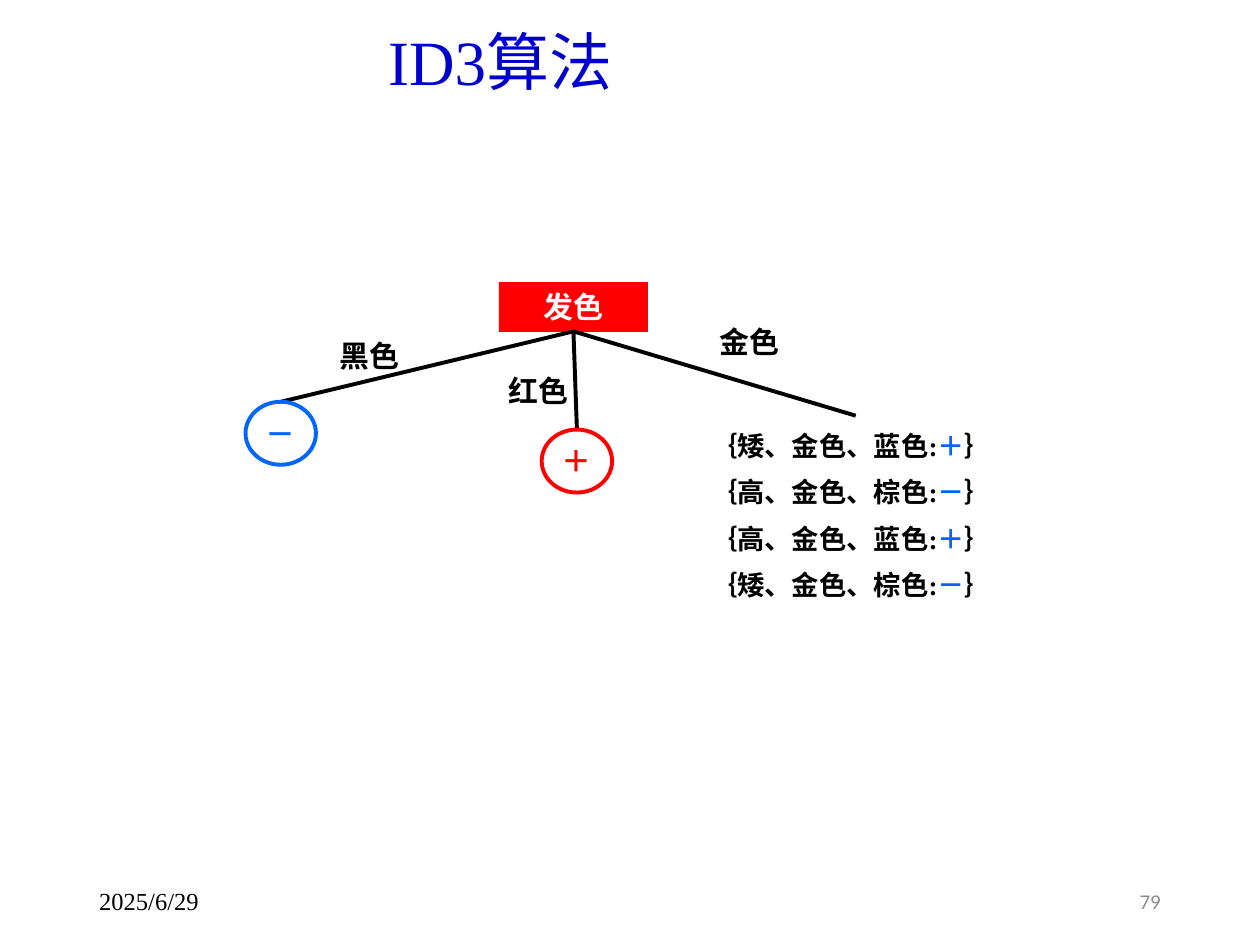
from lxml import etree
from pptx import Presentation
from pptx.dml.color import RGBColor
from pptx.enum.shapes import MSO_CONNECTOR, MSO_SHAPE
from pptx.enum.text import MSO_ANCHOR, MSO_AUTO_SIZE, PP_ALIGN
from pptx.oxml.ns import qn
from pptx.util import Cm, Pt

LEFT, CENTER, RIGHT = PP_ALIGN.LEFT, PP_ALIGN.CENTER, PP_ALIGN.RIGHT
MIDDLE = MSO_ANCHOR.MIDDLE
FIT_SHAPE, NO_FIT = MSO_AUTO_SIZE.SHAPE_TO_FIT_TEXT, MSO_AUTO_SIZE.NONE
STRAIGHT = MSO_CONNECTOR.STRAIGHT
RECTANGLE, OVAL = MSO_SHAPE.RECTANGLE, MSO_SHAPE.OVAL

SERIF = "Times New Roman"
BLACK, WHITE, RED, BLUE = "000000", "FFFFFF", "FF0000", "0066FF"
TITLE_BLUE, GRAY = "0000CC", "8C8C8C"
PLUS, MINUS = "＋", "－"

NODE_SIZE = 17.1
SAMPLE_SIZE = 15.6
LABEL_W, LABEL_H = 3, 1
LEAF_W, LEAF_H = 1.42, 1.27
ROOT_LEFT, ROOT_TOP = 10.06, 5.69
ROOT_BOTTOM = (ROOT_LEFT + LABEL_W / 2, 6.68)


def rgb(color):
    return RGBColor.from_string(color)


def format_paragraph(paragraph, size, color=None, align=CENTER, font=SERIF, bold=False):
    paragraph.alignment = align
    paragraph.font.size = Pt(size)
    paragraph.font.name = font
    paragraph.font.bold = bold
    if color:
        paragraph.font.color.rgb = rgb(color)


def add_title(slide, text):
    title = slide.shapes.title
    title.left, title.top, title.width, title.height = Cm(7.57), Cm(0.23), Cm(17.65), Cm(2.16)
    frame = title.text_frame
    frame.text = text
    frame.vertical_anchor = MIDDLE
    frame.auto_size = NO_FIT
    frame.paragraphs[0].line_spacing = 0.9
    format_paragraph(frame.paragraphs[0], 36, TITLE_BLUE, LEFT)


def add_text_frame(slide, left, top, width, height):
    frame = slide.shapes.add_textbox(Cm(left), Cm(top), Cm(width), Cm(height)).text_frame
    frame.word_wrap = True
    return frame


def add_footer(slide, left, text, size, color, align, font):
    frame = add_text_frame(slide, left, 17.65, 5.72, 1.02)
    frame.text = text
    frame.vertical_anchor = MIDDLE
    format_paragraph(frame.paragraphs[0], size, color, align, font)


def add_branch_label(slide, left, top, text):
    frame = add_text_frame(slide, left, top, LABEL_W, LABEL_H)
    frame.text = text
    frame.auto_size = FIT_SHAPE
    format_paragraph(frame.paragraphs[0], NODE_SIZE, BLACK, bold=True)


def add_branch(slide, end):
    """Draw a line from the bottom of the root node to end."""
    points = [Cm(value) for value in (*ROOT_BOTTOM, *end)]
    branch = slide.shapes.add_connector(STRAIGHT, *points)
    branch.line.color.rgb = rgb(BLACK)
    branch.line.width = Pt(2.25)
    etree.SubElement(branch._element.spPr, qn("a:effectLst"))


def add_node(slide, preset, left, top, width, height, text, color):
    node = slide.shapes.add_shape(preset, Cm(left), Cm(top), Cm(width), Cm(height))
    node.shadow.inherit = False
    node.text_frame.text = text
    format_paragraph(node.text_frame.paragraphs[0], NODE_SIZE, color, bold=True)
    return node


def add_root(slide, text):
    root = add_node(slide, RECTANGLE, ROOT_LEFT, ROOT_TOP, LABEL_W, LABEL_H, text, WHITE)
    root.fill.solid()
    root.fill.fore_color.rgb = rgb(RED)
    root.line.fill.background()
    root.text_frame.vertical_anchor = MSO_ANCHOR.TOP
    root.text_frame.auto_size = FIT_SHAPE


def add_leaf(slide, top_center, sign, color):
    x, y = top_center
    leaf = add_node(slide, OVAL, x - LEAF_W / 2, y, LEAF_W, LEAF_H, sign, color)
    leaf.fill.background()
    leaf.line.color.rgb = rgb(color)
    leaf.line.width = Pt(2.25)
    leaf.text_frame.vertical_anchor = MIDDLE
    leaf.text_frame.word_wrap = False


def add_samples(slide, samples):
    """List the unsorted samples, each with its class sign in blue."""
    frame = add_text_frame(slide, 13.92, 8.53, 6.48, 3.94)
    frame.auto_size = FIT_SHAPE
    for index, (features, sign) in enumerate(samples):
        paragraph = frame.add_paragraph() if index else frame.paragraphs[0]
        if index:
            paragraph.space_before = Pt(SAMPLE_SIZE / 2)
        format_paragraph(paragraph, SAMPLE_SIZE, bold=True)
        for text, color in ((f"｛{features}:", BLACK), (sign, BLUE), ("｝", BLACK)):
            run = paragraph.add_run()
            run.text = text
            run.font.color.rgb = rgb(color)


def main():
    prs = Presentation()
    prs.slide_width, prs.slide_height = Cm(25.4), Cm(19.05)
    slide = prs.slides.add_slide(prs.slide_layouts[5])

    add_title(slide, "ID3算法")
    add_footer(slide, 1.75, "2025/6/29", 14, BLACK, LEFT, SERIF)
    add_root(slide, "发色")

    add_branch_label(slide, 5.94, 6.68, "黑色")
    add_branch_label(slide, 9.35, 7.39, "红色")
    add_branch_label(slide, 13.61, 6.4, "金色")

    black_end, red_end, gold_end = (5.66, 8.1), (11.63, 8.66), (17.25, 8.38)
    for end in (black_end, red_end, gold_end):
        add_branch(slide, end)
    add_leaf(slide, red_end, PLUS, RED)
    add_leaf(slide, black_end, MINUS, BLUE)

    add_samples(slide, [
        ("矮、金色、蓝色", PLUS),
        ("高、金色、棕色", MINUS),
        ("高、金色、蓝色", PLUS),
        ("矮、金色、棕色", MINUS),
    ])
    add_footer(slide, 17.93, "79", 12, GRAY, RIGHT, "Calibri")
    prs.save("out.pptx")


if __name__ == "__main__":
    main()
